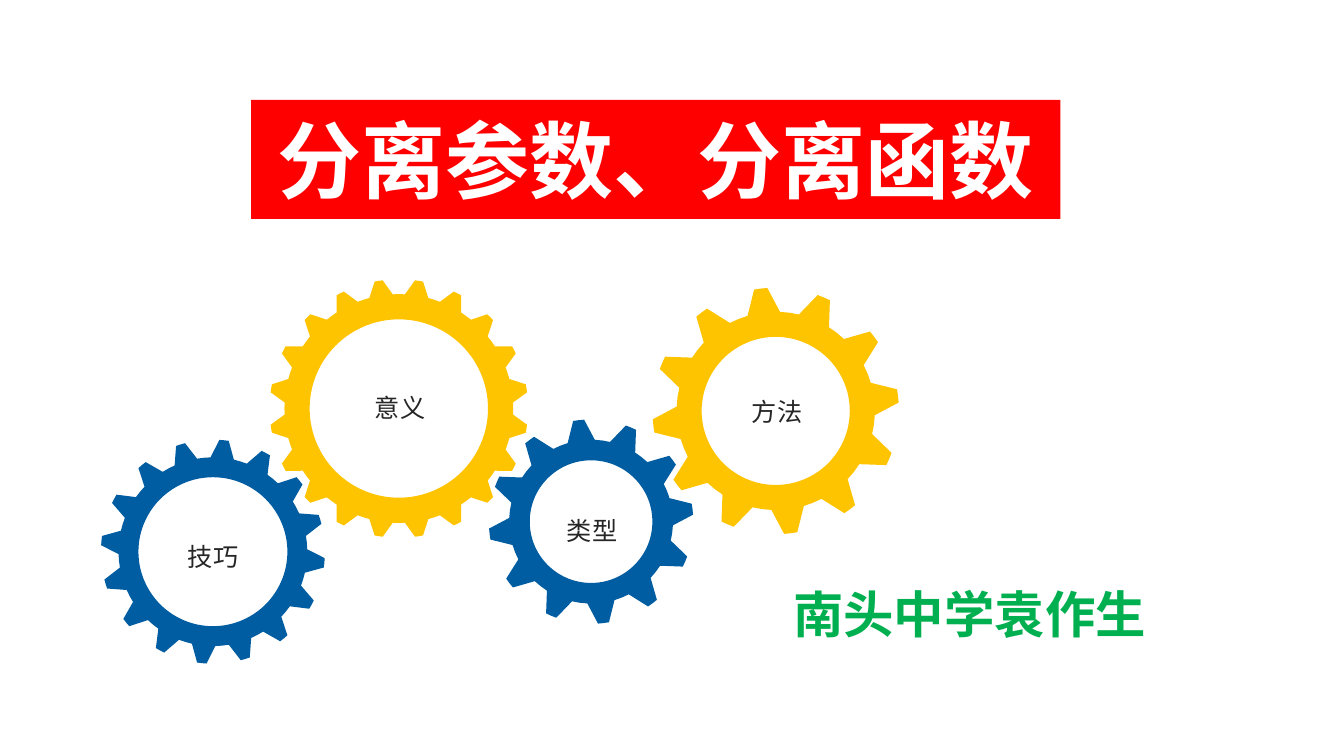
from math import cos, radians, sin

from lxml.etree import SubElement
from pptx import Presentation
from pptx.dml.color import RGBColor as RGB
from pptx.enum.text import MSO_ANCHOR as Anchor, MSO_AUTO_SIZE as Fit, PP_ALIGN as Align
from pptx.oxml.ns import qn
from pptx.util import Pt

FONT = "Noto Sans CJK SC"
HUES = {
    "red": "FF0000",
    "gold": "FFC400",
    "blue": "005DA2",
    "green": "00B050",
    "white": "FFFFFF",
    "dark": "262626",
}
GEARS = [
    dict(mid=(284.9, 291.8), tip=92.3, root=81.7, hole=63.7, teeth=20,
         turn=9, crown=1.8, gap=3.05, hue="gold"),
    dict(mid=(422.2, 372.6), tip=73, root=58.5, hole=43.8, teeth=12,
         turn=-7, crown=3.1, gap=5.4, hue="blue"),
    dict(mid=(152.1, 394.1), tip=80, root=67.4, hole=53.2, teeth=16,
         turn=5.7, crown=2.4, gap=4.1, hue="blue"),
    dict(mid=(554.1, 293.5), tip=88, root=70.8, hole=52.9, teeth=12,
         turn=-7, crown=3.1, gap=5.5, hue="gold"),
]
LABELS = [
    ("技巧", 152.3, 397.4, 88.6),
    ("意义", 285.8, 290.9, 125.3),
    ("类型", 423, 378.7, 88.6),
    ("方法", 555.1, 293.8, 125.3),
]


def tint(name):
    return RGB.from_string(HUES[name])


def place(shape, x, y, w, h):
    shape.left, shape.top, shape.width, shape.height = Pt(x), Pt(y), Pt(w), Pt(h)


def write(shape, text, size, hue, bold=False, align=Align.CENTER,
          anchor=Anchor.MIDDLE, fit=Fit.NONE, wrap=True):
    frame = shape.text_frame
    frame.text = text
    frame.word_wrap = wrap
    frame.auto_size = fit
    frame.vertical_anchor = anchor
    para = frame.paragraphs[0]
    para.alignment = align
    font = para.runs[0].font
    font.name, font.size, font.bold = FONT, Pt(size), bold
    font.color.rgb = tint(hue)
    SubElement(para.runs[0]._r.get_or_add_rPr(), qn("a:ea")).set("typeface", FONT)


def spot(mid, radius, angle):
    turn = radians(angle)
    return Pt(mid[0] + radius * sin(turn)), Pt(mid[1] - radius * cos(turn))


def gear(slide, mid, tip, root, hole, teeth, turn, crown, gap, hue):
    step = 360 / teeth
    rim = []
    for i in range(teeth):
        peak = turn + i * step
        dip = peak + step / 2
        rim += [spot(mid, tip, peak + a) for a in (-crown, 0, crown)]
        rim += [spot(mid, root, dip + a) for a in (-gap, 0, gap)]
    ring = [spot(mid, hole, -a) for a in range(0, 360, 3)]
    path = slide.shapes.build_freeform(*rim[0], scale=1)
    path.add_line_segments(rim[1:], close=True)
    path.move_to(*ring[0])
    path.add_line_segments(ring[1:], close=True)
    shape = path.convert_to_shape()
    shape.shadow.inherit = False
    shape.fill.solid()
    shape.fill.fore_color.rgb = tint(hue)
    shape.line.fill.background()


def label(slide, text, x, y, wide):
    high = 28.8
    box = slide.shapes.add_textbox(Pt(x - wide / 2), Pt(y - high / 2), Pt(wide), Pt(high))
    write(box, text, 18, "dark", fit=Fit.SHAPE_TO_FIT_TEXT)


def banner(slide, text):
    title = slide.shapes.title
    place(title, 179.3, 71.3, 578.2, 85)
    title.fill.solid()
    title.fill.fore_color.rgb = tint("red")
    write(title, text, 60, "white", bold=True)


def byline(slide, text):
    box = slide.shapes.add_textbox(Pt(559.4), Pt(413.3), Pt(270), Pt(51.1))
    write(box, text, 36, "green", bold=True, align=Align.LEFT,
          anchor=Anchor.TOP, fit=Fit.SHAPE_TO_FIT_TEXT, wrap=False)


def main():
    deck = Presentation()
    deck.slide_width, deck.slide_height = Pt(960), Pt(540)
    slide = deck.slides.add_slide(deck.slide_layouts[5])
    for item in LABELS:
        label(slide, *item)
    for wheel in GEARS:
        gear(slide, **wheel)
    banner(slide, "分离参数、分离函数")
    byline(slide, "南头中学袁作生")
    deck.save("out.pptx")


if __name__ == "__main__":
    main()
